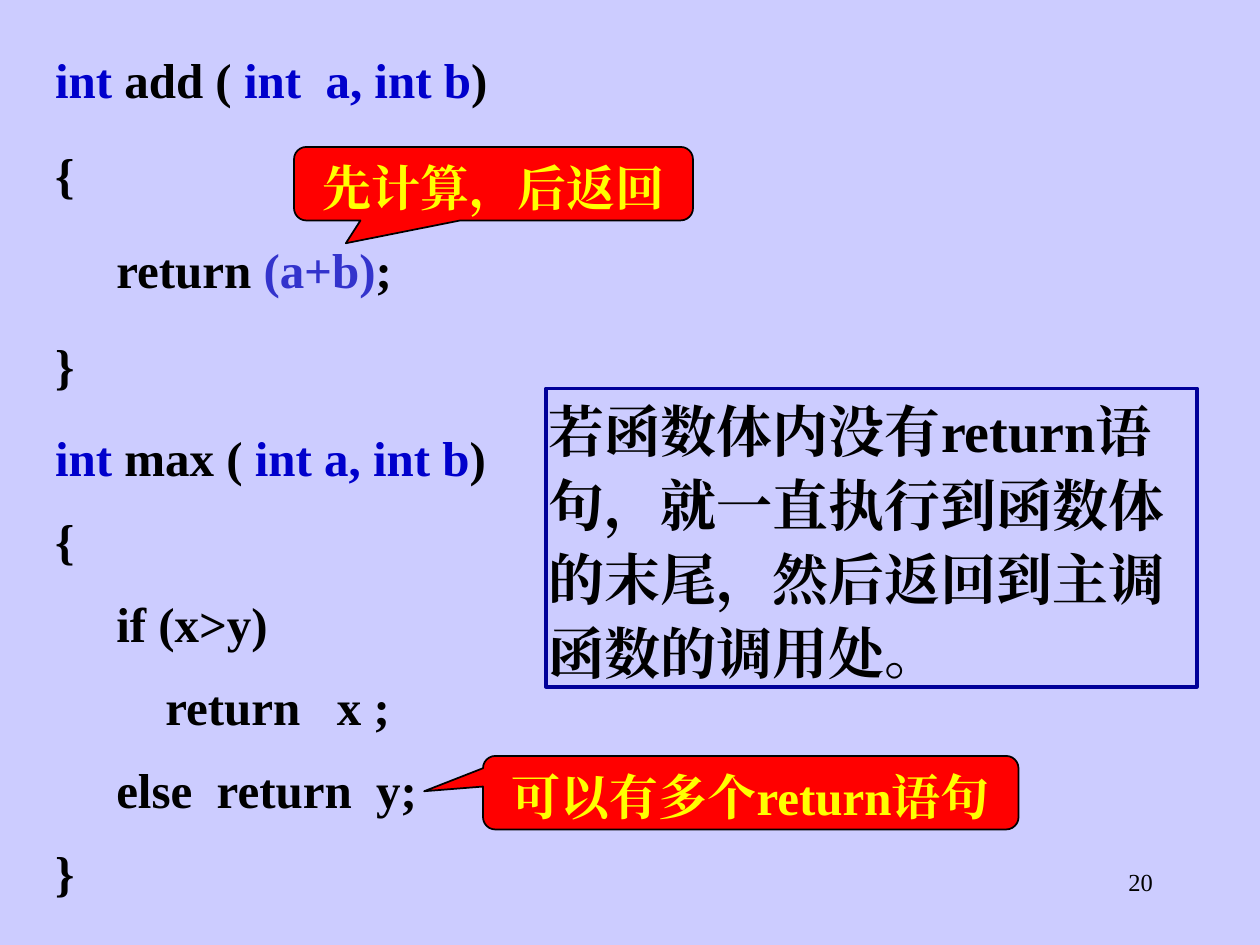
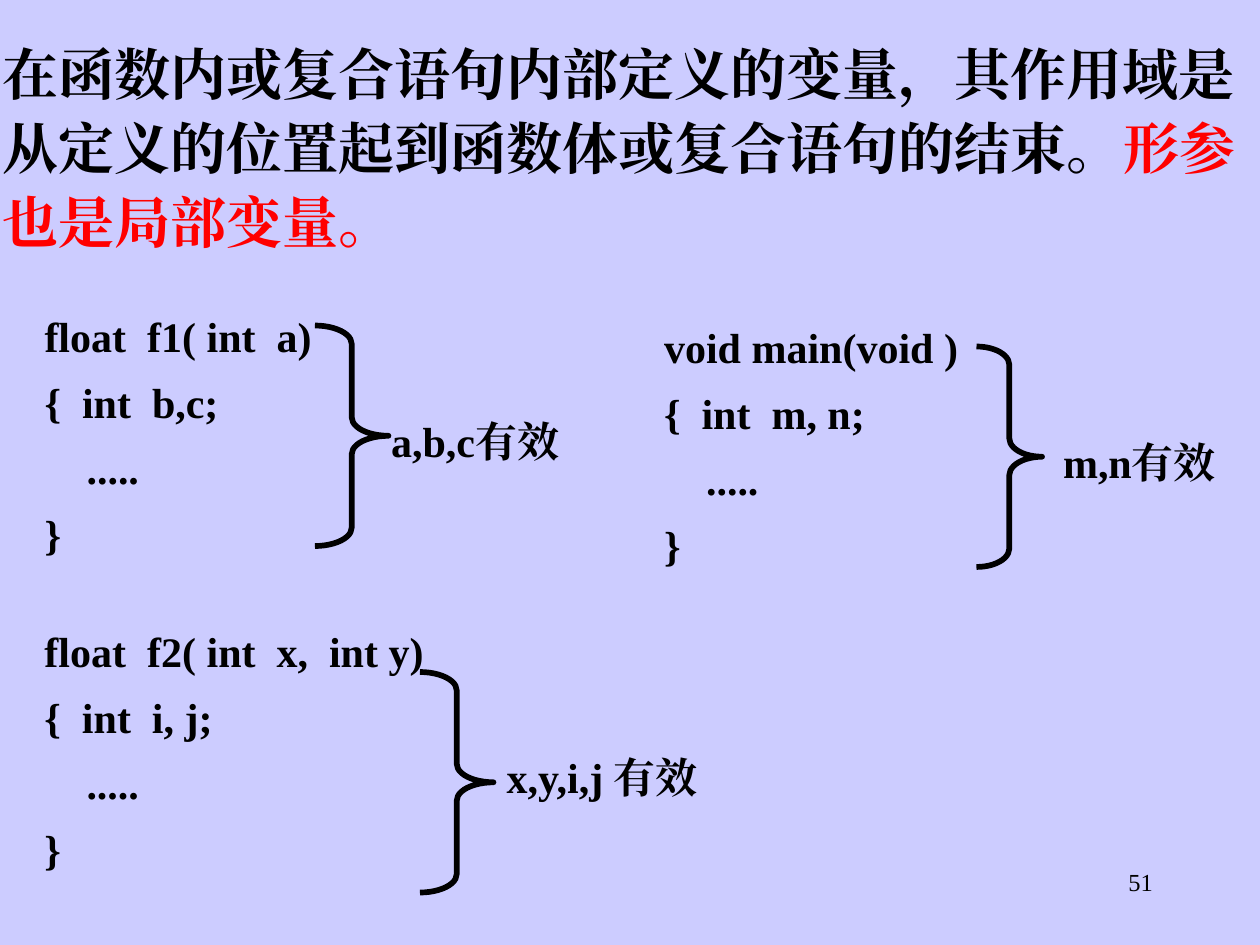
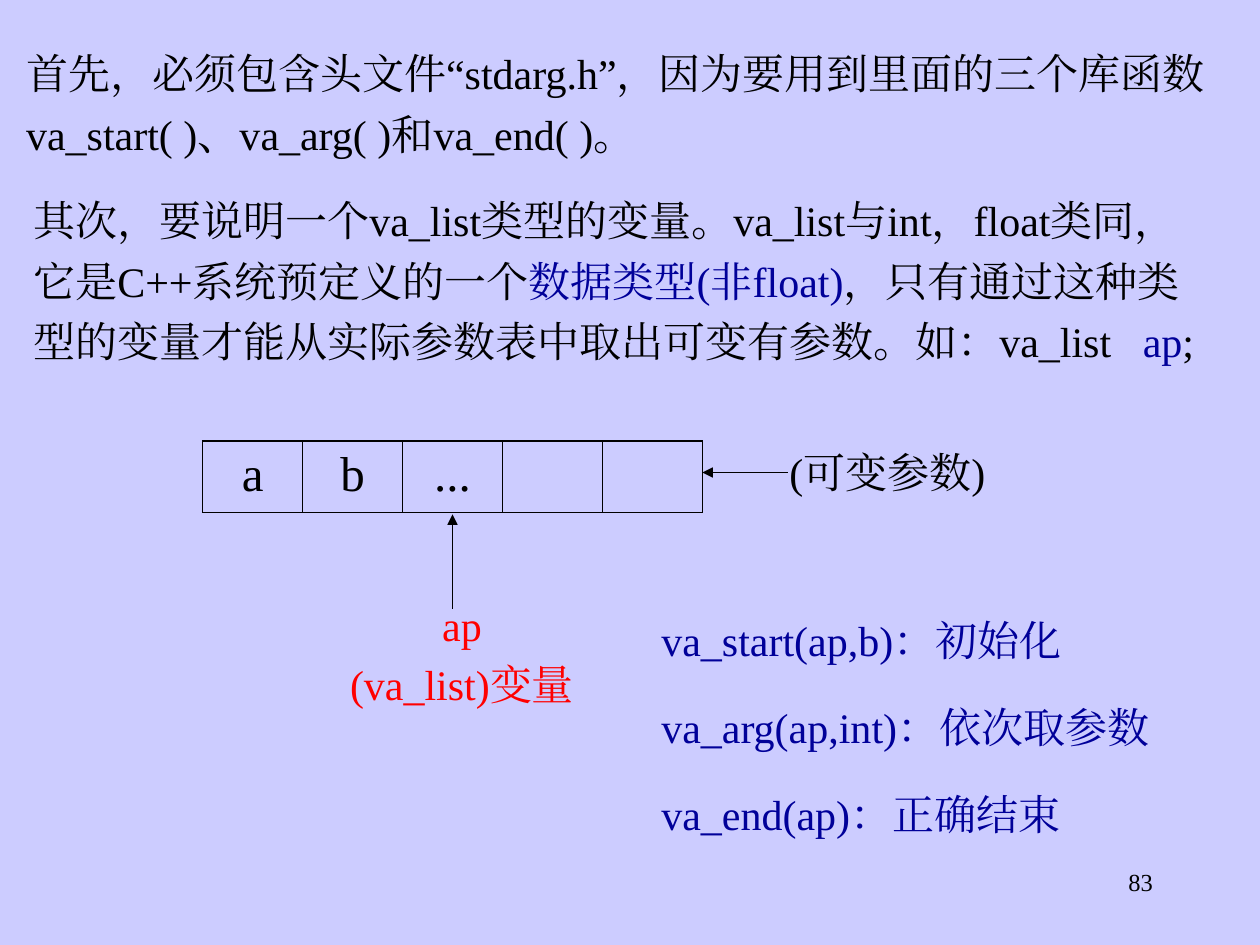
from dataclasses import dataclass

from lxml import etree
from pptx import Presentation
from pptx.dml.color import RGBColor
from pptx.enum.shapes import MSO_CONNECTOR, MSO_SHAPE
from pptx.enum.text import MSO_ANCHOR, MSO_AUTO_SIZE, PP_ALIGN
from pptx.oxml.ns import qn
from pptx.util import Inches, Pt

LEFT, CENTER, RIGHT = PP_ALIGN.LEFT, PP_ALIGN.CENTER, PP_ALIGN.RIGHT
TOP = MSO_ANCHOR.TOP
GROW, FIXED = MSO_AUTO_SIZE.SHAPE_TO_FIT_TEXT, MSO_AUTO_SIZE.NONE
RECTANGLE, RIGHT_BRACE = MSO_SHAPE.RECTANGLE, MSO_SHAPE.RIGHT_BRACE
CALLOUT = MSO_SHAPE.ROUNDED_RECTANGULAR_CALLOUT
STRAIGHT = MSO_CONNECTOR.STRAIGHT

COLUMNS, ROWS = 120, 90
CELL = Inches(1) / 12


@dataclass(frozen=True)
class Theme:
    font: str = "Times New Roman"
    background: str = "CCCCFF"
    ink: str = "000000"
    keyword: str = "0000CC"
    expression: str = "3333CC"
    navy: str = "000099"
    alert: str = "FF0000"
    callout_text: str = "FFFF00"
    page_size: int = 14
    body_size: int = 24
    code_size: int = 28
    statement_size: int = 32


@dataclass(frozen=True)
class Box:
    """Place and size in grid cells."""
    left: float
    top: float
    width: float
    height: float

    def inner(self, left, top, width, height):
        return Box(self.left + left, self.top + top, width, height)

    def lengths(self):
        return [cells(value) for value in (self.left, self.top, self.width, self.height)]


@dataclass(frozen=True)
class Style:
    size: int
    color: str = "000000"
    bold: bool = False
    align: int = LEFT
    spacing: float = 1.1
    before: float = 0
    tight: bool = True


THEME = Theme()
CODE = Style(THEME.code_size, bold=True, before=17.5)
DENSE_CODE = Style(THEME.code_size, bold=True, before=10.5)
CALLOUT_TEXT = Style(THEME.code_size, THEME.callout_text, True, CENTER, before=17.5)
STATEMENT = Style(THEME.statement_size, bold=True, before=20)
SCOPE_CODE = Style(THEME.body_size, bold=True, before=6)
SCOPE_LABEL = Style(THEME.body_size, bold=True, before=15)
BODY = Style(THEME.body_size, spacing=1.2, before=15, tight=False)
CALLS = Style(THEME.body_size, THEME.navy, spacing=1.2, before=15, tight=False)
POINTER = Style(THEME.body_size, THEME.alert, False, CENTER, 0.65, 15, False)
ARGUMENT = Style(THEME.code_size, align=CENTER, spacing=1, before=7, tight=False)
PAGE = Style(THEME.page_size, align=RIGHT, spacing=1, tight=False)


def cells(value):
    return round(value * CELL)


def rgb(color):
    return RGBColor.from_string(color)


def write(text_frame, paragraphs, style):
    """Fill a frame; a paragraph is a string or a list of strings and (string, colour) pairs.

    Leading blanks of a paragraph become a left indent of a quarter em each.
    """
    for number, runs in enumerate(paragraphs):
        paragraph = text_frame.paragraphs[0] if number == 0 else text_frame.add_paragraph()
        paragraph.alignment = style.align
        paragraph.line_spacing = style.spacing
        paragraph.space_before = Pt(style.before)
        for position, item in enumerate([runs] if isinstance(runs, str) else runs):
            text, color = (item, style.color) if isinstance(item, str) else item
            if position == 0:
                blanks = len(text) - len(text.lstrip())
                text = text.lstrip()
                if blanks:
                    properties = paragraph._p.get_or_add_pPr()
                    properties.set("marL", str(Pt(blanks * style.size / 4)))
                    properties.set("indent", "0")
            run = paragraph.add_run()
            run.text = text
            run.font.name, run.font.size = THEME.font, Pt(style.size)
            run.font.bold, run.font.color.rgb = style.bold, rgb(color)
            run_properties = run._r.get_or_add_rPr()
            run_properties.set("lang", "zh-CN")
            etree.SubElement(run_properties, qn("a:ea"), typeface=THEME.font)


def write_in_shape(shape, paragraphs, style, auto_size=GROW):
    frame = shape.text_frame
    frame.word_wrap = True
    frame.auto_size = auto_size
    frame.vertical_anchor = TOP
    side, edge = (0.02, 0.01) if style.tight else (0.1, 0.05)
    frame.margin_left = frame.margin_right = Inches(side)
    frame.margin_top = frame.margin_bottom = Inches(edge)
    write(frame, paragraphs, style)


def add_text(slide, box, paragraphs, style, auto_size=GROW):
    write_in_shape(slide.shapes.add_textbox(*box.lengths()), paragraphs, style, auto_size)


def add_outline(slide, kind, box, line_color, line_width, fill=None):
    shape = slide.shapes.add_shape(kind, *box.lengths())
    shape.shadow.inherit = False
    if fill:
        shape.fill.solid()
        shape.fill.fore_color.rgb = rgb(fill)
    else:
        shape.fill.background()
    shape.line.color.rgb = rgb(line_color)
    shape.line.width = Pt(line_width)
    return shape


def add_callout(slide, box, text, tip):
    """Tip is the pointer's end, as shares of the box from its centre."""
    callout = add_outline(slide, CALLOUT, box, THEME.ink, 1, THEME.alert)
    callout.adjustments[0], callout.adjustments[1] = tip
    write_in_shape(callout, [text], CALLOUT_TEXT, FIXED)


def add_arrow(slide, start, end):
    points = [cells(value) for value in (*start, *end)]
    arrow = slide.shapes.add_connector(STRAIGHT, *points)
    arrow.line.color.rgb = rgb(THEME.ink)
    arrow.line.width = Pt(1)
    etree.SubElement(arrow.line._get_or_add_ln(), qn("a:tailEnd"), type="triangle")
    etree.SubElement(arrow._element.spPr, qn("a:effectLst"))


def add_scope(slide, box, code, brace, label_box, label):
    """Code with a brace and a label, both placed from the corner of the code's box."""
    add_text(slide, box, code, SCOPE_CODE)
    brace_box = box.inner(*brace)
    shape = add_outline(slide, RIGHT_BRACE, brace_box, THEME.ink, 3.25)
    shape.adjustments[0] = 1.75 / brace_box.width
    add_text(slide, box.inner(*label_box), [label], SCOPE_LABEL)


def set_border(cell, side, width):
    line = etree.SubElement(cell._tc.get_or_add_tcPr(), qn(f"a:ln{side}"), w=str(Pt(width)))
    fill = etree.SubElement(line, qn("a:solidFill"))
    etree.SubElement(fill, qn("a:srgbClr"), val=THEME.ink)


def add_argument_table(slide, box, values):
    table = slide.shapes.add_table(1, len(values), *box.lengths()).table
    table.first_row = table.horz_banding = False
    outer, inner = 1.08, 0.45
    last = len(values) - 1
    for number, value in enumerate(values):
        table.columns[number].width = cells(box.width / len(values))
        cell = table.cell(0, number)
        set_border(cell, "L", outer if number == 0 else inner)
        set_border(cell, "R", outer if number == last else inner)
        set_border(cell, "T", outer)
        set_border(cell, "B", outer)
        cell.fill.background()
        if value:
            write(cell.text_frame, [value], ARGUMENT)


def add_page(presentation, number):
    slide = presentation.slides.add_slide(presentation.slide_layouts[6])
    add_text(slide, Box(86, 82, 25, 6), [number], PAGE, FIXED)
    return slide


def build_return_slide(presentation):
    slide = add_page(presentation, "20")
    keyword = THEME.keyword
    add_text(slide, Box(5, 4, 46, 33.7), [
        [("int ", keyword), "add ( ", ("int  a, int b", keyword), ")"],
        "{",
        ["     return ", ("(a+b)", THEME.expression), ";"],
        "}",
    ], CODE)
    add_text(slide, Box(5, 40, 51, 46), [
        [("int", keyword), " max ( ", ("int a, int b", keyword), ")"],
        "{",
        "     if (x>y)",
        "         return   x ;",
        "     else  return  y;",
        "}",
    ], DENSE_CODE)
    remark = add_outline(slide, RECTANGLE, Box(52, 37, 62, 28.4), THEME.navy, 2.25)
    write_in_shape(
        remark, ["若函数体内没有return语句，就一直执行到函数体的末尾，然后返回到主调函数的调用处。"], STATEMENT)
    add_callout(slide, Box(28, 14, 38, 7), "先计算，后返回", (-0.37, 0.81))
    add_callout(slide, Box(46, 72, 51, 7), "可以有多个return语句", (-0.61, -0.02))


def build_scope_slide(presentation):
    slide = add_page(presentation, "51")
    add_text(slide, Box(0, 3, COLUMNS, 21.4), [[
        "在函数内或复合语句内部定义的变量，其作用域是从定义的位置起到函数体或复合语句的结束。",
        ("形参也是局部变量。", THEME.alert),
    ]], STATEMENT)
    scopes = [
        (Box(4, 29, 33, 24.4), "float  f1( int  a)", "{  int  b,c;",
         (26, 2, 7, 21), (33, 10, 21, 5.5), "a,b,c有效"),
        (Box(4, 59, 37, 24.4), "float  f2( int  x,  int y)", "{  int  i, j;",
         (36, 5, 7, 21), (44, 12, 21, 5.5), "x,y,i,j 有效"),
        (Box(63, 30, 32, 24.4), "void main(void )", "{  int  m, n;",
         (30, 3, 6.25, 21), (38, 11, 18.8, 5.5), "m,n有效"),
    ]
    for box, header, variables, brace, label_box, label in scopes:
        add_scope(slide, box, [header, variables, "    .....", "}"], brace, label_box, label)


def build_arguments_slide(presentation):
    slide = add_page(presentation, "83")
    add_text(slide, Box(1.3, 3, 118.7, 12.7), [
        "首先，必须包含头文件“stdarg.h”，因为要用到里面的三个库函数  va_start( )、va_arg( )和va_end( )。",
    ], BODY)
    add_text(slide, Box(2, 17, 114, 24.2), [[
        "其次，要说明一个va_list类型的变量。va_list与int，float类同，它是C++系统预定义的一个",
        ("数据类型(非float)", THEME.navy),
        "，只有通过这种类型的变量才能从实际参数表中取出可变有参数。如：va_list   ",
        ("ap", THEME.navy),
        ";",
    ]], BODY)
    table = Box(19.3, 42, 47.6, 6.8)
    add_argument_table(slide, table, ["a", "b", "...", "", ""])
    pointer_column = table.left + table.width / 2
    add_text(slide, Box(30, 58, 28, 10), ["ap", "(va_list)变量"], POINTER)
    add_arrow(slide, (pointer_column, 58), (pointer_column, 49))
    add_text(slide, Box(74, 41, 33.7, 7), ["(可变参数)"], BODY)
    add_arrow(slide, (75, 45), (table.left + table.width, 45))
    add_text(slide, Box(61.8, 57, 51.2, 23.5), [
        "va_start(ap,b)：初始化",
        "va_arg(ap,int)：依次取参数",
        "va_end(ap)：正确结束",
    ], CALLS)


def main():
    presentation = Presentation()
    presentation.slide_width, presentation.slide_height = cells(COLUMNS), cells(ROWS)
    background = presentation.slide_master.background.fill
    background.solid()
    background.fore_color.rgb = rgb(THEME.background)
    build_return_slide(presentation)
    build_scope_slide(presentation)
    build_arguments_slide(presentation)
    presentation.save("out.pptx")


if __name__ == "__main__":
    main()
